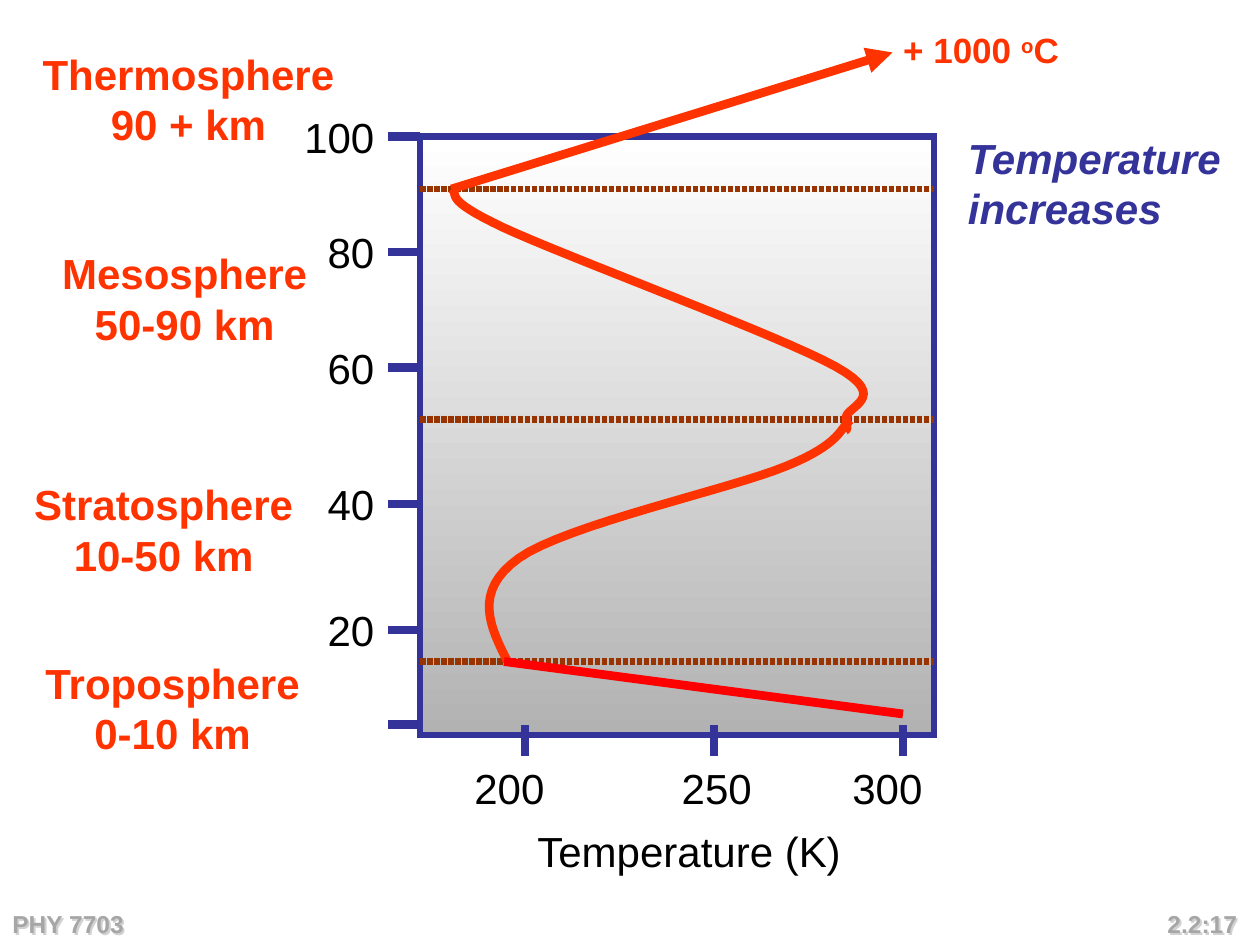
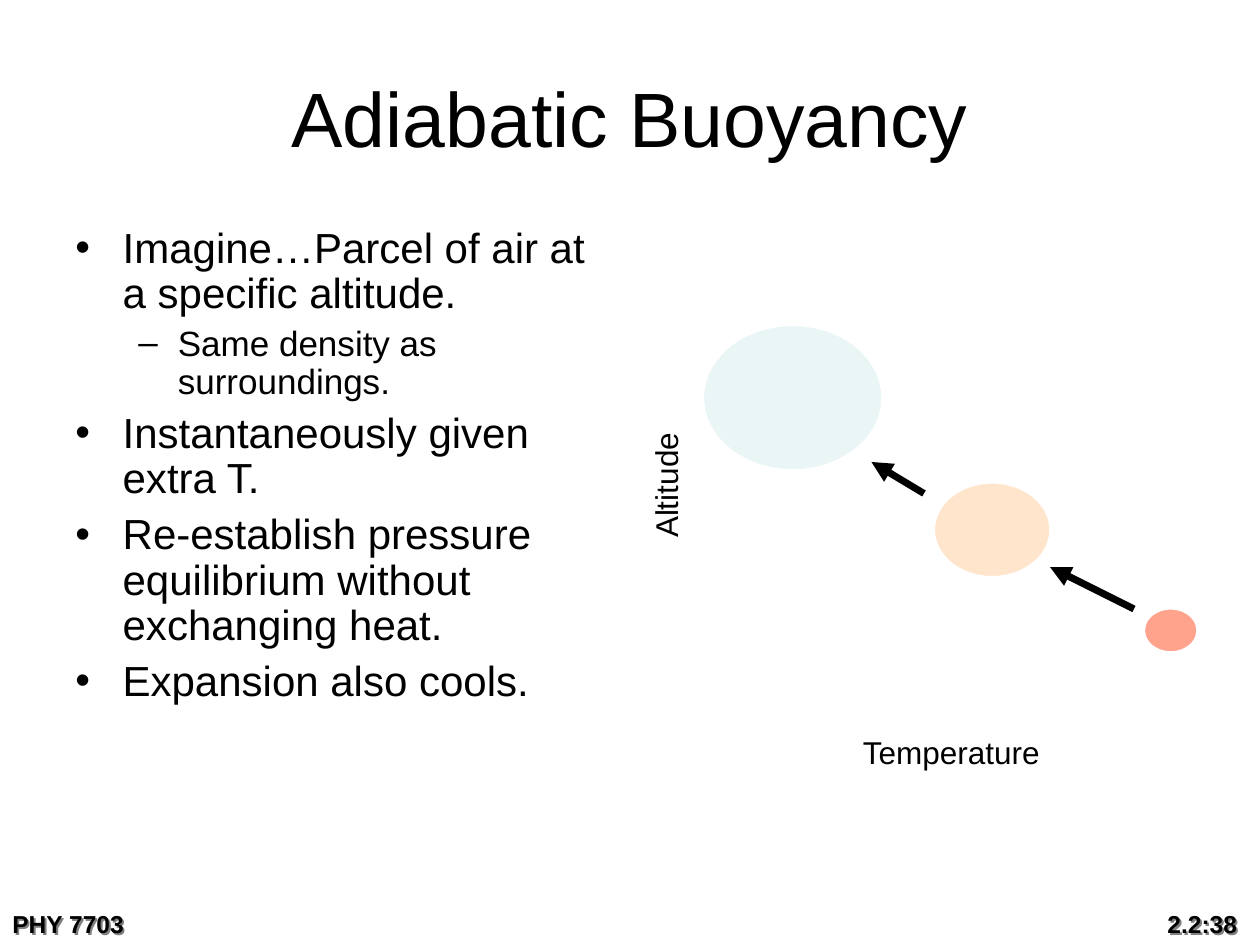
"""Build two slides on atmospheric layers and adiabatic buoyancy."""
from dataclasses import dataclass

from lxml import etree
from pptx import Presentation
from pptx.dml.color import RGBColor
from pptx.enum.shapes import MSO_CONNECTOR, MSO_SHAPE
from pptx.enum.text import MSO_ANCHOR, PP_ALIGN
from pptx.oxml.ns import qn
from pptx.util import Pt

LEFT, CENTER, RIGHT = PP_ALIGN.LEFT, PP_ALIGN.CENTER, PP_ALIGN.RIGHT
TOP, MIDDLE = MSO_ANCHOR.TOP, MSO_ANCHOR.MIDDLE
RECTANGLE, OVAL = MSO_SHAPE.RECTANGLE, MSO_SHAPE.OVAL
STRAIGHT = MSO_CONNECTOR.STRAIGHT
FONT = "Arial"
COLORS = {
    "text": "000000", "paper": "FFFFFF", "axis": "333399", "haze": "B2B2B2",
    "boundary": "993300", "layer": "FF3300", "ground": "FF0000",
    "warm": "FF9933", "cool": "BBE0E3", "shadow": "808080",
}
PLOT_LEFT, PLOT_TOP, PLOT_WIDTH, PLOT_HEIGHT = 240, 78, 294, 342
TICK = 18

Point = tuple[float, float]


@dataclass(frozen=True)
class Layer:
    """A named layer of the atmosphere and where its label is centred."""
    name: str
    heights: str
    center: float
    top: float


@dataclass(frozen=True)
class Parcel:
    """An air parcel drawn as a translucent ellipse."""
    left: float
    top: float
    width: float
    height: float
    color: str
    opacity: int


@dataclass(frozen=True)
class Bullet:
    """The look of one bullet level."""
    mark: str
    size: float
    margin: float
    hanging: float
    before: float


LAYERS = (
    Layer("Thermosphere", "90 + km", 107.64, 24),
    Layer("Mesosphere", "50-90 km", 105.5, 138),
    Layer("Stratosphere", "10-50 km", 93.5, 270),
    Layer("Troposphere", "0-10 km", 98.6, 372),
)
ALTITUDE_TICKS = ((78, "100"), (144, "80"), (210, "60"), (288, "40"), (360, "20"), (414, ""))
TEMPERATURE_TICKS = (300, 408, 516)
BOUNDARIES = (378, 240, 108)
STRATOSPHERE_CURVE = (
    (290, 378), (280, 358), (270, 338), (296.5, 319), (323, 300),
    (417.5, 279.5), (449, 266.5), (481, 253.5), (480, 244.5), (486, 240),
)
MESOSPHERE_CURVE = (
    (483, 246), (484, 245.5), (484.5, 245), (483.5, 239), (482.5, 232.5),
    (510, 227.5), (477.5, 209.5), (445, 191.5), (324, 147), (287.5, 130),
    (251.5, 113), (263, 111.5), (258, 108),
)
PARCELS = (
    Parcel(654, 348, 30, 24.5, "layer", 45),
    Parcel(534, 276, 66, 53.5, "warm", 25),
    Parcel(402, 186, 102, 82.5, "cool", 30),
)
RISES = (((648, 348), (600, 324)), ((528, 282), (498, 264)))
BULLETS = (Bullet("•", 24, 27, 27, 6), Bullet("–", 20, 58.5, 22.5, 5))
POINTS = (
    (0, "Imagine…Parcel of air at a specific altitude."),
    (1, "Same density as surroundings."),
    (0, "Instantaneously given extra T."),
    (0, "Re-establish pressure equilibrium without exchanging heat."),
    (0, "Expansion also cools."),
)


def rgb(name: str) -> RGBColor:
    """Return a colour of the deck by name."""
    return RGBColor.from_string(COLORS[name])


def add_span(para, text: str, *, size: float = 24, color: str = "text", bold: bool = False,
             italic: bool = False, raised: bool = False) -> None:
    """Add one formatted span to a paragraph."""
    span = para.add_run()
    span.text = text
    font = span.font
    font.name, font.size, font.bold, font.italic = FONT, Pt(size), bold, italic
    font.color.rgb = rgb(color)
    if raised:
        span._r.get_or_add_rPr().set("baseline", "30000")


def add_text(page, left: float, top: float, width: float, height: float, *lines: str,
             align=LEFT, turn: float = 0, **style):
    """Add a text box with one paragraph per line and return it."""
    box = page.shapes.add_textbox(Pt(left), Pt(top), Pt(width), Pt(height))
    box.rotation = turn
    frame = box.text_frame
    frame.word_wrap = True
    frame.vertical_anchor = TOP
    for index, line in enumerate(lines):
        para = frame.add_paragraph() if index else frame.paragraphs[0]
        para.alignment = align
        add_span(para, line, **style)
    return box


def add_line(page, start: Point, end: Point, color: str, weight: float, *,
             dotted: bool = False, arrow: bool = False) -> None:
    """Draw a straight line, optionally dotted or with an arrowhead at its end."""
    line = page.shapes.add_connector(STRAIGHT, *(Pt(value) for value in (*start, *end)))
    line.line.color.rgb = rgb(color)
    line.line.width = Pt(weight)
    outline = line.line._get_or_add_ln()
    if dotted:
        dashes = etree.SubElement(outline, qn("a:custDash"))
        etree.SubElement(dashes, qn("a:ds"), d="80000", sp="20000")
    if arrow:
        etree.SubElement(outline, qn("a:tailEnd"), type="triangle")
    etree.SubElement(line._element.spPr, qn("a:effectLst"))


def add_figure(page, kind, left: float, top: float, width: float, height: float,
               fill: str, opacity: int = 100, line: str = "", weight: float = 0.75):
    """Draw a preset shape with a possibly translucent fill and return it."""
    shape = page.shapes.add_shape(kind, Pt(left), Pt(top), Pt(width), Pt(height))
    shape.shadow.inherit = False
    shape.fill.solid()
    shape.fill.fore_color.rgb = rgb(fill)
    if opacity < 100:
        color = shape._element.spPr.find(qn("a:solidFill")).find(qn("a:srgbClr"))
        etree.SubElement(color, qn("a:alpha"), val=str(opacity * 1000))
    if line:
        shape.line.color.rgb = rgb(line)
        shape.line.width = Pt(weight)
        etree.SubElement(shape.line._get_or_add_ln(), qn("a:miter"), lim="800000")
    else:
        shape.line.fill.background()
    return shape


def add_curve(page, controls: tuple[Point, ...], color: str, weight: float, steps: int = 16) -> None:
    """Draw a chain of cubic curves through its control points."""
    track = []
    for first in range(0, len(controls) - 1, 3):
        a, b, c, d = controls[first:first + 4]
        for step in range(1, steps + 1):
            t = step / steps
            u = 1 - t
            track.append(tuple(
                Pt(u**3 * a[i] + 3 * u * u * t * b[i] + 3 * u * t * t * c[i] + t**3 * d[i])
                for i in (0, 1)))
    start_x, start_y = controls[0]
    builder = page.shapes.build_freeform(Pt(start_x), Pt(start_y))
    builder.add_line_segments(track, close=False)
    curve = builder.convert_to_shape()
    curve.shadow.inherit = False
    curve.fill.background()
    curve.line.color.rgb = rgb(color)
    curve.line.width = Pt(weight)


def add_footer(page, number: str) -> None:
    """Add the course name and the page number, both with a shadow."""
    for left, text, align in ((0, "PHY 7703", LEFT), (486, number, RIGHT)):
        box = add_text(page, left, 516, 228, 24.5, text, align=align, size=14, bold=True)
        effects = etree.SubElement(box._element.spPr, qn("a:effectLst"))
        shadow = etree.SubElement(effects, qn("a:outerShdw"), dist=str(Pt(1.5)), dir="2700000")
        etree.SubElement(shadow, qn("a:srgbClr"), val=COLORS["shadow"])


def add_axes(page) -> None:
    """Draw the plot area with its ticks and labels."""
    plot = add_figure(page, RECTANGLE, PLOT_LEFT, PLOT_TOP, PLOT_WIDTH, PLOT_HEIGHT,
                      "paper", line="axis", weight=3.5)
    plot.fill.gradient()
    plot.fill.gradient_angle = 270
    for stop, color in zip(plot.fill.gradient_stops, ("paper", "haze")):
        stop.color.rgb = rgb(color)
    for y, label in ALTITUDE_TICKS:
        add_line(page, (PLOT_LEFT, y), (PLOT_LEFT - TICK, y), "axis", 5)
        if label:
            add_text(page, 151, y - TICK, 70, 36, label, align=RIGHT)
    for x in TEMPERATURE_TICKS:
        add_line(page, (x, 432), (x, 432 - TICK), "axis", 5)
    add_text(page, 300, 468, 200, 36, "Temperature (K)")
    scale = add_text(page, 264, 432, 300, 36, "200\t250\t300")
    tabs = etree.SubElement(scale.text_frame.paragraphs[0]._p.get_or_add_pPr(), qn("a:tabLst"))
    for stop in (118.5, 216):
        etree.SubElement(tabs, qn("a:tab"), pos=str(Pt(stop)), algn="l")


def build_atmosphere(deck) -> None:
    """Build the temperature profile of the atmosphere."""
    page = deck.slides.add_slide(deck.slide_layouts[6])
    add_footer(page, "2.2:17")
    add_figure(page, RECTANGLE, 0, 0, 720, 540, "paper", 65)
    add_axes(page)
    for y in BOUNDARIES:
        add_line(page, (PLOT_LEFT, y), (PLOT_LEFT + PLOT_WIDTH, y), "boundary", 4, dotted=True)
    add_text(page, 546, 72, 163.5, 65, "Temperature increases", color="axis", bold=True, italic=True)
    for layer in LAYERS:
        add_text(page, layer.center - 92, layer.top, 184, 65, layer.name, layer.heights,
                 align=CENTER, color="layer", bold=True)
    for curve in (STRATOSPHERE_CURVE, MESOSPHERE_CURVE):
        add_curve(page, curve, "layer", 5)
    add_line(page, (258, 108), (510, 30), "layer", 5, arrow=True)
    style = {"size": 20, "color": "layer", "bold": True}
    limit = add_text(page, 509, 13, 120, 31.5, "+ 1000 ", **style)
    para = limit.text_frame.paragraphs[0]
    add_span(para, "o", raised=True, **style)
    add_span(para, "C", **style)
    add_line(page, (516, 408), (288, 378), "ground", 5)


def add_points(page) -> None:
    """Add the bulleted argument."""
    frame = add_text(page, 36, 126, 312, 356).text_frame
    for index, (level, text) in enumerate(POINTS):
        bullet = BULLETS[level]
        para = frame.add_paragraph() if index else frame.paragraphs[0]
        para.level = level
        para.line_spacing = 0.9
        para.space_before = Pt(bullet.before if index else 0)
        properties = para._p.get_or_add_pPr()
        properties.set("marL", str(Pt(bullet.margin)))
        properties.set("indent", str(-Pt(bullet.hanging)))
        etree.SubElement(properties, qn("a:buFont"), typeface=FONT)
        etree.SubElement(properties, qn("a:buChar"), char=bullet.mark)
        add_span(para, text, size=bullet.size)


def build_buoyancy(deck) -> None:
    """Build the slide on rising air parcels."""
    page = deck.slides.add_slide(deck.slide_layouts[5])
    add_footer(page, "2.2:38")
    title = page.shapes.title
    title.left, title.top, title.width, title.height = Pt(36), Pt(21.5), Pt(648), Pt(90)
    title.text_frame.vertical_anchor = MIDDLE
    heading = title.text_frame.paragraphs[0]
    heading.alignment = CENTER
    add_span(heading, "Adiabatic Buoyancy", size=44)
    add_points(page)
    for parcel in PARCELS:
        add_figure(page, OVAL, parcel.left, parcel.top, parcel.width, parcel.height,
                   parcel.color, parcel.opacity, line="paper")
    for start, end in RISES:
        add_line(page, start, end, "text", 4, arrow=True)
    add_text(page, 338.5, 258, 84, 29, "Altitude", turn=270, size=18)
    add_text(page, 486, 415.5, 126, 29, "Temperature", size=18)


def main() -> None:
    """Build and save the deck."""
    deck = Presentation()
    deck.slide_width, deck.slide_height = Pt(720), Pt(540)
    build_atmosphere(deck)
    build_buoyancy(deck)
    deck.save("out.pptx")


if __name__ == "__main__":
    main()
